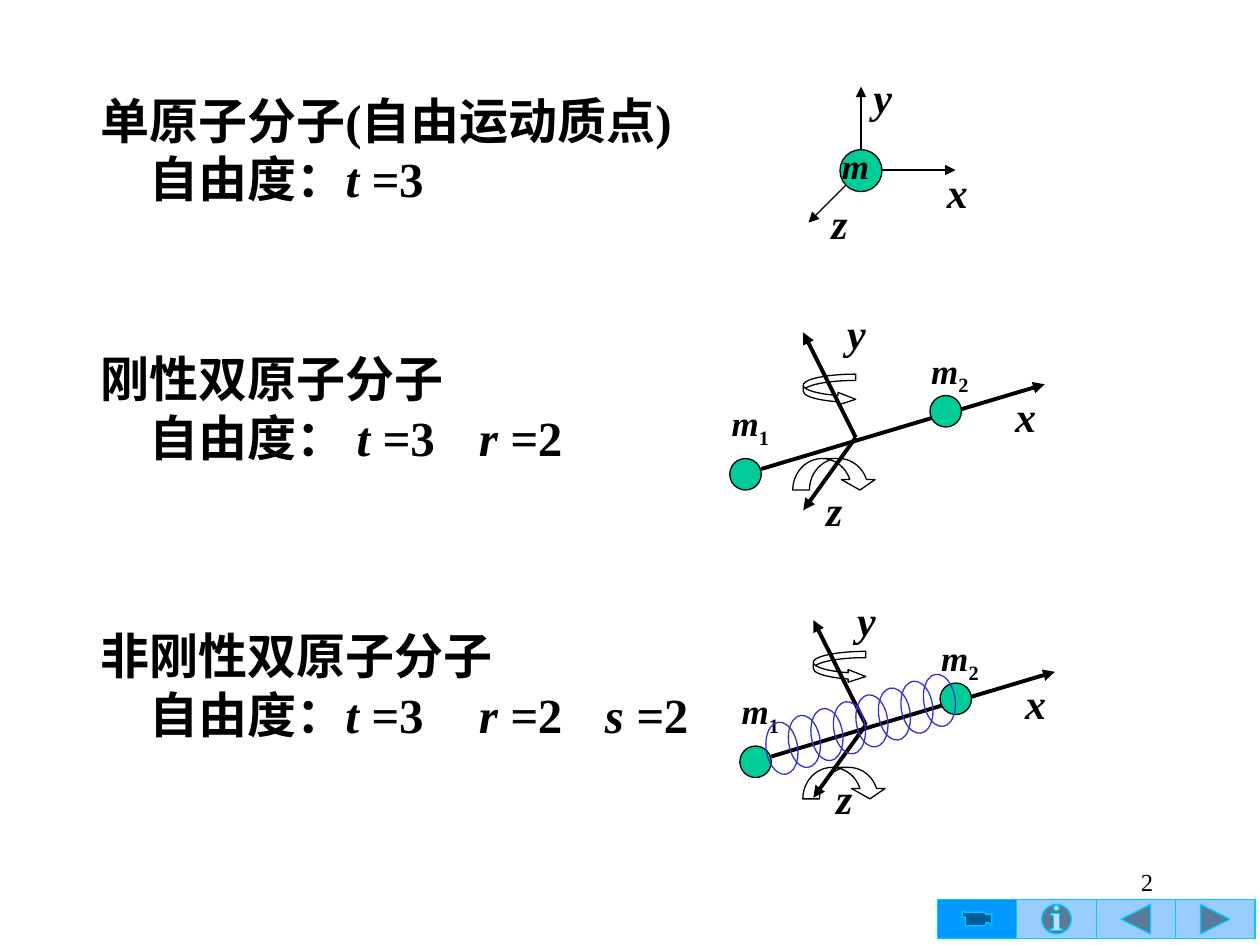
"""Build a slide on the degrees of freedom of three kinds of molecule."""
from lxml import etree
from pptx import Presentation
from pptx.dml.color import RGBColor
from pptx.enum import shapes, text
from pptx.oxml import ns
from pptx.util import Pt

BLACK = RGBColor(0x00, 0x00, 0x00)
GREEN = RGBColor(0x00, 0xCC, 0x99)
SPRING_BLUE = RGBColor(0x33, 0x33, 0xCC)
BUTTON_LINE = RGBColor(0x00, 0xCC, 0xFF)
BUTTON_DARK = RGBColor(0x00, 0x99, 0xFF)
BUTTON_LIGHT = RGBColor(0x99, 0xCC, 0xFF)
SHAPE = shapes.MSO_SHAPE

deck = Presentation()
deck.slide_width, deck.slide_height = Pt(720), Pt(540)
page = deck.slides.add_slide(deck.slide_layouts[6])


def write(content, left, top, width, height, size=24, bold=True, italic=False,
          subscript="", align=text.PP_ALIGN.LEFT, inset=7.2, indent=0, tabs=()):
    """Add a text box; asterisks switch italics, indent and tabs shape the last line."""
    box = page.shapes.add_textbox(Pt(left), Pt(top), Pt(width), Pt(height))
    frame = box.text_frame
    frame.word_wrap = True
    frame.margin_left = Pt(inset)
    for number, line in enumerate(content.split("\n")):
        para = frame.add_paragraph() if number else frame.paragraphs[0]
        para.alignment = align
        pieces = [(piece, italic != bool(turn % 2), False)
                  for turn, piece in enumerate(line.split("*"))]
        if subscript:
            pieces.append((subscript, False, True))
        for piece, slanted, lowered in pieces:
            if not piece:
                continue
            span = para.add_run()
            span.text = piece
            span.font.name = "Times New Roman"
            span.font.size = Pt(size)
            span.font.bold = bold
            span.font.italic = slanted
            span.font.color.rgb = BLACK
            if lowered:
                span._r.get_or_add_rPr().set("baseline", "-25000")
    settings = para._p.get_or_add_pPr()
    if indent:
        settings.set("marL", "0")
        settings.set("indent", str(Pt(indent)))
    if tabs:
        stops = etree.SubElement(settings, ns.qn("a:tabLst"))
        for stop in tabs:
            etree.SubElement(stops, ns.qn("a:tab"), pos=str(Pt(stop)), algn="l")


def draw(kind, left, top, width, height, fill=None, line=BLACK, adjust=(), turn=0):
    """Add a preset shape with a thin outline."""
    figure = page.shapes.add_shape(kind, Pt(left), Pt(top), Pt(width), Pt(height))
    figure.shadow.inherit = False
    figure.rotation = turn
    figure.line.color.rgb = line
    figure.line.width = Pt(0.75)
    if fill is None:
        figure.fill.background()
    else:
        figure.fill.solid()
        figure.fill.fore_color.rgb = fill
    for number, value in enumerate(adjust):
        figure.adjustments[number] = value


DX, DY = 5.76, 164.3
axes = [(492, 97.2, 462, 127.2, 0.75), (492, 91.2, 492, 49.5, 0.75),
        (492, 97.2, 546, 97.2, 0.75)]
for dx, dy in [(0, 0), (DX, DY)]:
    for x1, y1, x2, y2 in [(435, 268, 597, 219.6), (489, 250, 459, 190),
                           (489, 250, 459, 291.6)]:
        axes.append((x1 + dx, y1 + dy, x2 + dx, y2 + dy, 2.25))
for x1, y1, x2, y2, weight in axes:
    axis = page.shapes.add_connector(
        shapes.MSO_CONNECTOR.STRAIGHT, Pt(x1), Pt(y1), Pt(x2), Pt(y2))
    axis.line.color.rgb = BLACK
    axis.line.width = Pt(weight)
    etree.SubElement(axis.line._get_or_add_ln(), ns.qn("a:tailEnd"), type="triangle")
    etree.SubElement(axis._element.spPr, ns.qn("a:effectLst"))

draw(SHAPE.OVAL, 480, 85.5, 24, 24, fill=GREEN)
write("m", 474, 79.2, 42, 31.7, size=20, italic=True)
for name, left, top, width in [("x", 534, 91.5, 30), ("y", 492, 37.5, 24),
                               ("z", 468, 109.5, 36)]:
    write(name, left, top, width, 36, italic=True)

for dx, dy, y_turn_top, z_turn_top in [(0, 0, 213.8, 262), (DX, DY, 372.2, 438.5)]:
    for left, top in [(417, 262), (531.4, 226)]:
        draw(SHAPE.OVAL, left + dx, top + dy, 18, 18, fill=GREEN)
    for name, left, top, width in [("x", 573, 219.6, 42), ("y", 477, 172, 36),
                                   ("z", 465, 273.6, 36)]:
        write(name, left + dx, top + dy, width, 36, italic=True)
    for index, left, top, width in [("1", 411, 226, 48), ("2", 525, 196, 54)]:
        write("m", left + dx, top + dy, width, 34.6, size=20, italic=True, subscript=index)
    draw(SHAPE.CURVED_RIGHT_ARROW, 459 + dx, y_turn_top, 30, 18, adjust=(0.2, 0.4, 0.56))
    draw(SHAPE.CURVED_DOWN_ARROW, 453 + dx, z_turn_top, 48, 18, adjust=(0.53, 1.07, 0.33))

for coil in range(8):
    draw(SHAPE.OVAL, 437.8 + 12.86 * coil, 412.6 - 3.91 * coil, 18, 30,
         line=SPRING_BLUE, turn=-8.4)

for content, top, width, tabs in [
    ("单原子分子(自由运动质点)\n自由度：*t =*3", 48, 459.4, ()),
    ("刚性双原子分子\n自由度： *t =*3\t*r =*2", 195.8, 329, (215.5,)),
    ("非刚性双原子分子\n自由度：*t =*3\t*r =*2\t*s =*2", 354.2, 408.2, (209, 277.8)),
]:
    write(content, 14.4, top, width, 74.9, size=28, inset=43.2, indent=28, tabs=tabs)

write("2", 516, 491.8, 150, 36, size=14, bold=False, align=text.PP_ALIGN.RIGHT)
for number, (kind, fill) in enumerate([
    (SHAPE.ACTION_BUTTON_MOVIE, BUTTON_DARK),
    (SHAPE.ACTION_BUTTON_INFORMATION, BUTTON_LIGHT),
    (SHAPE.ACTION_BUTTON_BACK_OR_PREVIOUS, BUTTON_LIGHT),
    (SHAPE.ACTION_BUTTON_FORWARD_OR_NEXT, BUTTON_LIGHT),
]):
    draw(kind, 535.7 + 45.35 * number, 514, 45.35, 22.5, fill=fill, line=BUTTON_LINE)

deck.save("out.pptx")
